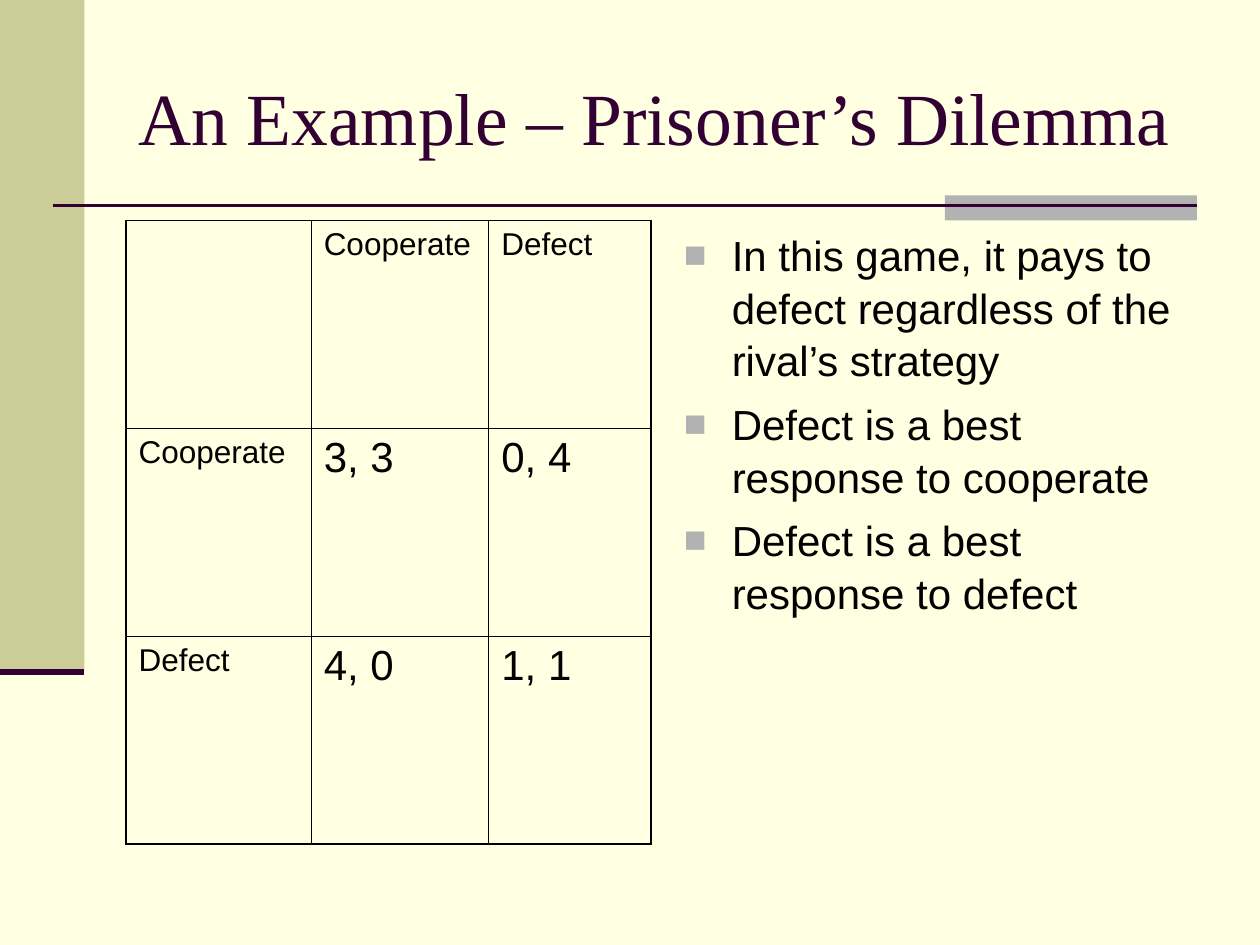
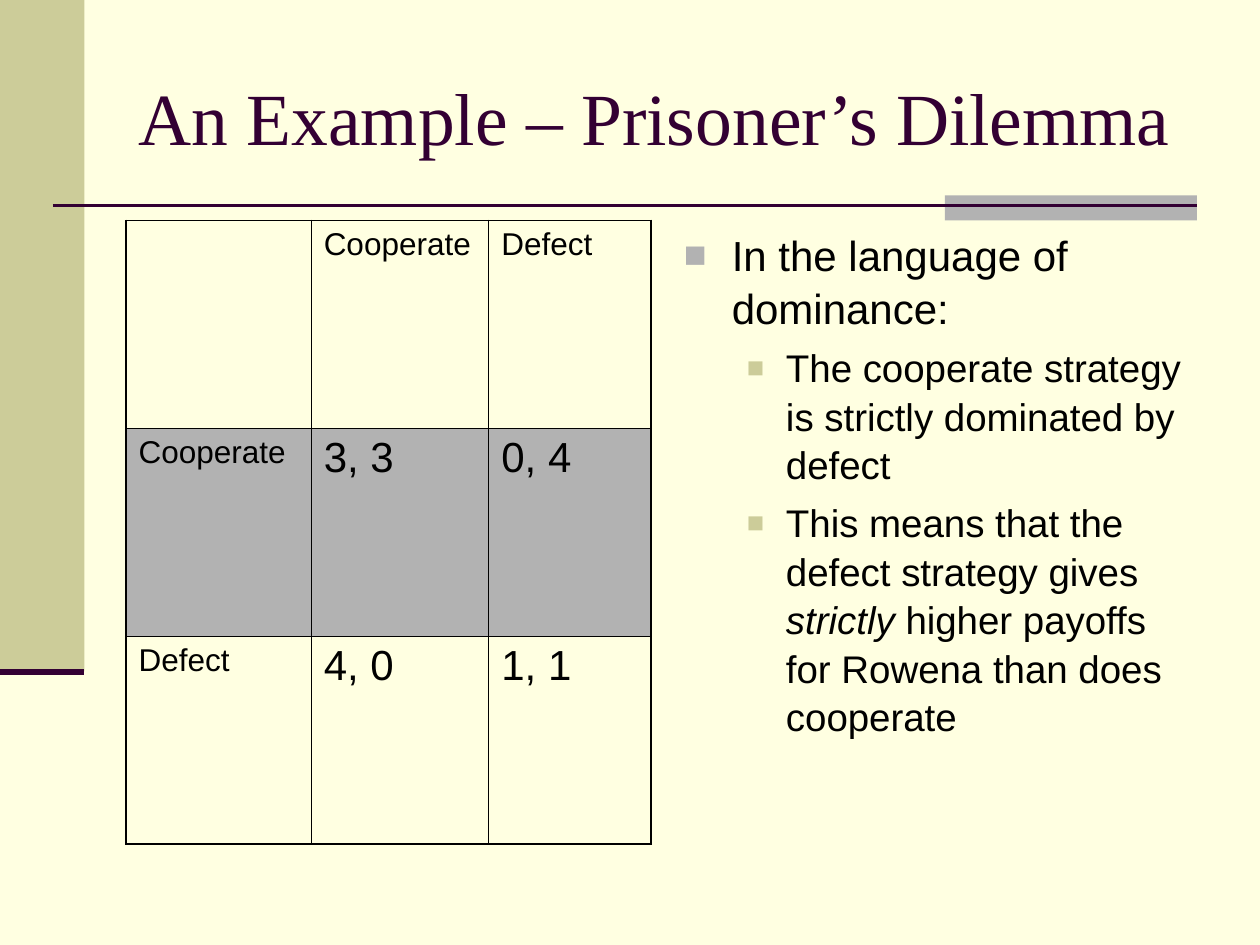
import pptx
import pptx.util
import pptx.dml.color
import pptx.enum.shapes
import pptx.enum.text
import pptx.oxml.ns
import lxml.etree

Inches = pptx.util.Inches
Pt = pptx.util.Pt

HUE = {
    "page": "FFFFE1",
    "band": "CCCC99",
    "gray": "B2B2B2",
    "plum": "330033",
    "ink": "000000",
}
TITLE = "An Example – Prisoner’s Dilemma"
GAME = [
    ["", "Cooperate", "Defect"],
    ["Cooperate", "3, 3", "0, 4"],
    ["Defect", "4, 0", "1, 1"],
]
WIDTHS = [1.47, 1.41, 1.29]
LEVELS = [
    {"left": 0.38, "hang": 0.38, "size": 24, "gap": 6, "hue": "gray", "scale": 90},
    {"left": 0.81, "hang": 0.31, "size": 22, "gap": 5.5, "hue": "band", "scale": 75},
]
REPLIES = [
    (0, ["In this game, it pays to defect regardless of the rival’s strategy"]),
    (0, ["Defect is a best response to cooperate"]),
    (0, ["Defect is a best response to defect"]),
]
DOMINANCE = [
    (0, ["In the language of dominance:"]),
    (1, ["The cooperate strategy is strictly dominated by defect"]),
    (1, ["This means that the defect strategy gives ", "strictly ",
         "higher payoffs for Rowena than does cooperate"]),
]


def color(name):
    return pptx.dml.color.RGBColor.from_string(HUE[name])


def node(parent, tag, **attrs):
    child = lxml.etree.SubElement(parent, pptx.oxml.ns.qn(tag))
    for key, value in attrs.items():
        child.set(key, str(value))
    return child


def write(para, text, size=24, font="Arial", hue="ink", italic=False):
    run = para.add_run()
    run.text = text
    run.font.size = Pt(size)
    run.font.name = font
    run.font.color.rgb = color(hue)
    run.font.italic = italic


def inset(frame):
    frame.word_wrap = True
    frame.margin_left = frame.margin_right = Inches(0.1)
    frame.margin_top = frame.margin_bottom = Inches(0.05)


def block(slide, left, top, width, height, hue):
    shape = slide.shapes.add_shape(
        pptx.enum.shapes.MSO_SHAPE.RECTANGLE,
        Inches(left), Inches(top), Inches(width), Inches(height))
    shape.shadow.inherit = False
    shape.fill.solid()
    shape.fill.fore_color.rgb = color(hue)
    shape.line.fill.background()


def rule(slide, left, right, top, weight):
    line = slide.shapes.add_connector(
        pptx.enum.shapes.MSO_CONNECTOR.STRAIGHT,
        Inches(left), Inches(top), Inches(right), Inches(top))
    line.line.color.rgb = color("plum")
    line.line.width = Pt(weight)
    node(line._element.spPr, "a:effectLst")


def head(slide, text):
    title = slide.shapes.title
    title.left, title.top = Inches(1), Inches(0.3)
    title.width, title.height = Inches(8.5), Inches(1.25)
    frame = title.text_frame
    inset(frame)
    frame.auto_size = pptx.enum.text.MSO_AUTO_SIZE.NONE
    frame.vertical_anchor = pptx.enum.text.MSO_ANCHOR.MIDDLE
    para = frame.paragraphs[0]
    para.alignment = pptx.enum.text.PP_ALIGN.LEFT
    write(para, text, size=42, font="Times New Roman", hue="plum")


def edge(cell, side, outer):
    width = Pt(1.08 if outer else 0.45)
    line = node(cell._tc.get_or_add_tcPr(), "a:ln" + side, w=width)
    node(node(line, "a:solidFill"), "a:srgbClr", val=HUE["ink"])


def matrix(slide, shaded=None):
    last = len(GAME) - 1
    table = slide.shapes.add_table(
        len(GAME), len(WIDTHS), Inches(1), Inches(1.75),
        Inches(sum(WIDTHS)), Inches(4.95)).table
    table.first_row = table.horz_banding = False
    for col, width in zip(table.columns, WIDTHS):
        col.width = Inches(width)
    for r, row in enumerate(GAME):
        for c, text in enumerate(row):
            cell = table.cell(r, c)
            for side, outer in zip("LRTB", (c == 0, c == last, r == 0, r == last)):
                edge(cell, side, outer)
            if r == shaded:
                cell.fill.solid()
                cell.fill.fore_color.rgb = color("gray")
            else:
                cell.fill.background()
            if text:
                write(cell.text_frame.paragraphs[0], text, size=24 if r and c else 18)


def bullet(para, level):
    props = para._p.get_or_add_pPr()
    props.set("marL", str(Inches(level["left"])))
    props.set("indent", str(-Inches(level["hang"])))
    node(node(props, "a:buClr"), "a:srgbClr", val=HUE[level["hue"]])
    node(props, "a:buSzPct", val=level["scale"] * 1000)
    node(props, "a:buFont", typeface="Arial")
    node(props, "a:buChar", char="■")


def points(slide, items):
    frame = slide.shapes.add_textbox(
        Inches(5.33), Inches(1.75), Inches(4.17), Inches(4.95)).text_frame
    inset(frame)
    for i, (depth, parts) in enumerate(items):
        para = frame.add_paragraph() if i else frame.paragraphs[0]
        level = LEVELS[depth]
        bullet(para, level)
        para.level = depth
        para.line_spacing = 1.05
        if i:
            para.space_before = Pt(level["gap"])
        for n, part in enumerate(parts):
            write(para, part, size=level["size"], italic=n == 1)


def build(deck, items, shaded=None):
    slide = deck.slides.add_slide(deck.slide_layouts[5])
    block(slide, 0, 0, 0.67, 5.33, "band")
    block(slide, 7.5, 1.55, 2, 0.2, "gray")
    rule(slide, 0.42, 9.5, 1.63, 1.5)
    rule(slide, 0, 0.67, 5.33, 3.5)
    head(slide, TITLE)
    matrix(slide, shaded)
    points(slide, items)


def main():
    deck = pptx.Presentation()
    deck.slide_width, deck.slide_height = Inches(10), Inches(7.5)
    fill = deck.slide_master.background.fill
    fill.solid()
    fill.fore_color.rgb = color("page")
    build(deck, REPLIES)
    build(deck, DOMINANCE, shaded=1)
    deck.save("out.pptx")


if __name__ == "__main__":
    main()
